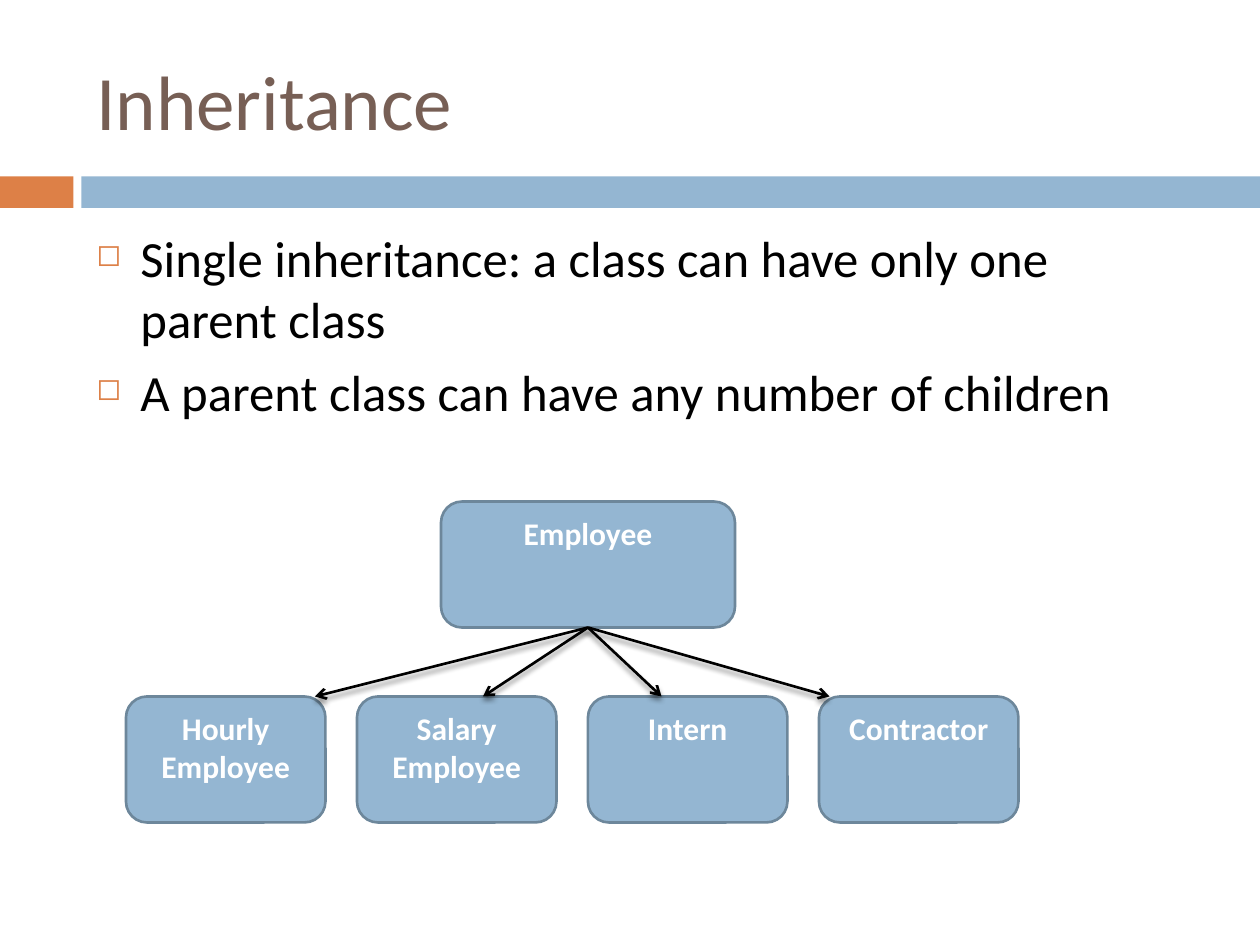
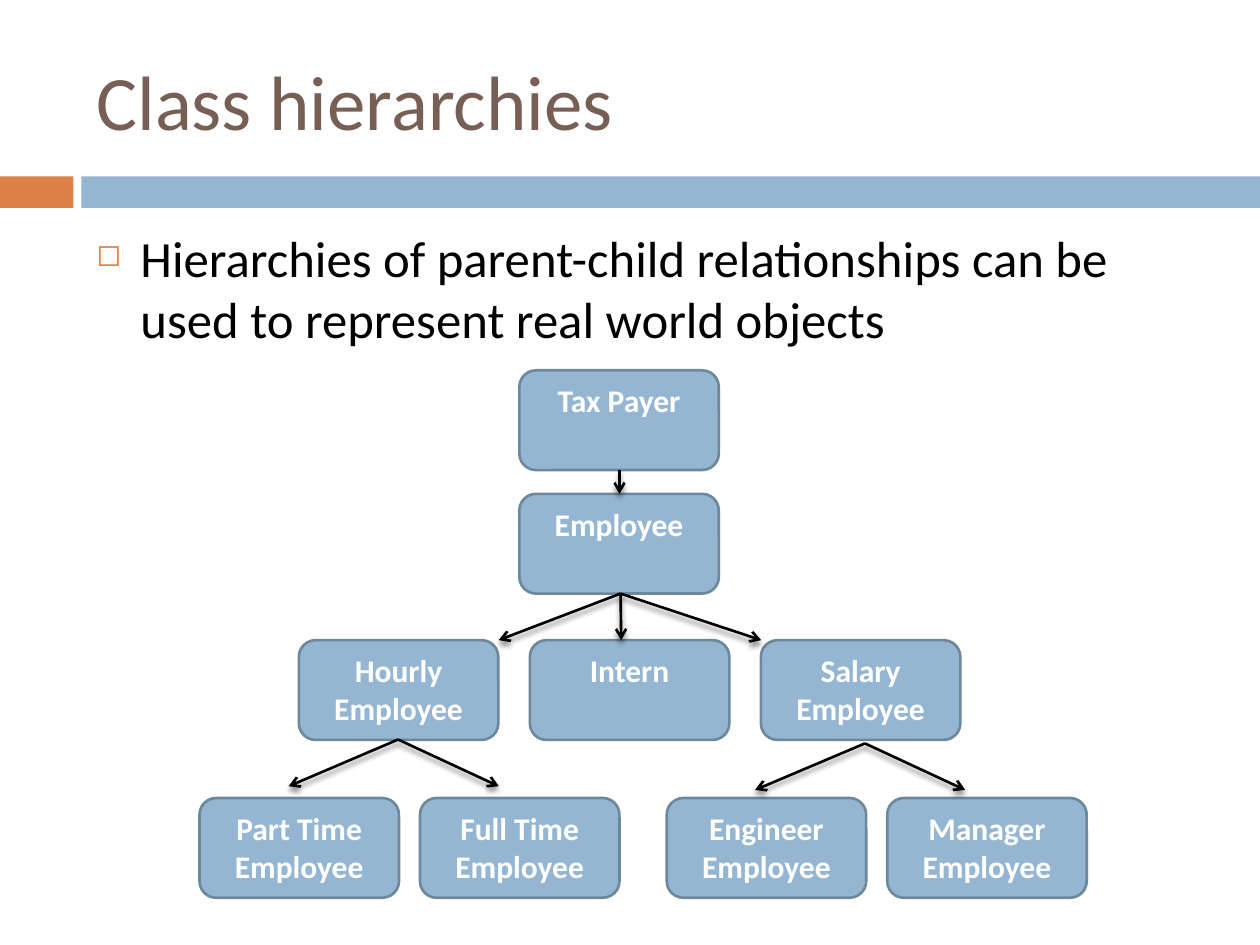
from dataclasses import dataclass

import lxml.etree
import pptx
import pptx.dml.color
import pptx.enum.shapes
import pptx.enum.text
import pptx.oxml.ns
import pptx.util

Pt = pptx.util.Pt
RGBColor = pptx.dml.color.RGBColor
Anchor = pptx.enum.text.MSO_ANCHOR
Align = pptx.enum.text.PP_ALIGN
Preset = pptx.enum.shapes.MSO_SHAPE

# Shared style
FONT = "Calibri"
ORANGE = RGBColor(0xDD, 0x80, 0x47)
BLUE = RGBColor(0x94, 0xB6, 0xD2)
BLUE_EDGE = RGBColor(0x6D, 0x87, 0x9B)
BROWN = RGBColor(0x77, 0x5F, 0x55)
BLACK = RGBColor(0, 0, 0)
WHITE = RGBColor(0xFF, 0xFF, 0xFF)
SLIDE_WIDTH, SLIDE_HEIGHT = 720, 540
MARGIN_LEFT = 48
CLASS_WIDTH = 114
SIBLING_STEP = 132


@dataclass(frozen=True)
class Box:
    left: float
    top: float
    width: float
    height: float

    def lengths(self) -> list:
        return [Pt(value) for value in (self.left, self.top, self.width, self.height)]


@dataclass(frozen=True)
class ClassBox:
    name: str
    box: Box


@dataclass(frozen=True)
class Arrow:
    start: tuple[float, float]
    tip: tuple[float, float]


def add_xml(parent, tag: str, **attributes):
    """Append a child element such as a:buChar."""
    return lxml.etree.SubElement(parent, pptx.oxml.ns.qn(tag), attributes)


def add_bullet(paragraph) -> None:
    properties = paragraph._p.get_or_add_pPr()
    properties.set("marL", str(Pt(25.2)))
    properties.set("indent", str(Pt(-25.2)))
    add_xml(add_xml(properties, "a:buClr"), "a:srgbClr", val=str(ORANGE))
    add_xml(properties, "a:buSzPct", val="60000")
    add_xml(properties, "a:buChar", char="◻")


def write_text(shape, *texts: str, size: float, color: RGBColor, bold: bool = False,
               align=Align.LEFT, anchor=Anchor.TOP, bullets: bool = False,
               gap: float = 0) -> None:
    """Write one paragraph per text, all in the same format."""
    frame = shape.text_frame
    frame.word_wrap = True
    frame.vertical_anchor = anchor
    for index, text in enumerate(texts):
        paragraph = frame.add_paragraph() if index else frame.paragraphs[0]
        if bullets:
            add_bullet(paragraph)
        if index:
            paragraph.space_before = Pt(gap)
        paragraph.alignment = align
        run = paragraph.add_run()
        run.text = text
        run.font.name = FONT
        run.font.size = Pt(size)
        run.font.bold = bold
        run.font.color.rgb = color


def add_filled_shape(slide, preset, box: Box, fill: RGBColor):
    shape = slide.shapes.add_shape(preset, *box.lengths())
    shape.shadow.inherit = False
    shape.fill.solid()
    shape.fill.fore_color.rgb = fill
    shape.line.fill.background()
    return shape


def add_class(slide, item: ClassBox) -> None:
    shape = add_filled_shape(slide, Preset.ROUNDED_RECTANGLE, item.box, BLUE)
    shape.line.color.rgb = BLUE_EDGE
    shape.line.width = Pt(1.5)
    write_text(shape, item.name, size=18, color=WHITE, bold=True, align=Align.CENTER)


def add_arrow(slide, arrow: Arrow) -> None:
    connector = slide.shapes.add_connector(
        pptx.enum.shapes.MSO_CONNECTOR.STRAIGHT,
        *[Pt(value) for value in (*arrow.start, *arrow.tip)])
    connector.line.color.rgb = BLACK
    connector.line.width = Pt(1.5)
    add_xml(connector.line._get_or_add_ln(), "a:tailEnd", type="arrow")
    # Soft shadow straight below the line
    effects = add_xml(connector._element.spPr, "a:effectLst")
    shadow = add_xml(effects, "a:outerShdw", blurRad=str(Pt(3)), dist=str(Pt(2.4)),
                     dir="5400000", rotWithShape="0")
    add_xml(add_xml(shadow, "a:srgbClr", val=str(BLACK)), "a:alpha", val="45000")


def row_of(names: list[str], left: float, top: float, height: float,
           step: float = SIBLING_STEP) -> list[ClassBox]:
    """Place classes side by side at equal steps."""
    return [ClassBox(name, Box(left + index * step, top, CLASS_WIDTH, height))
            for index, name in enumerate(names)]


def fan(start: tuple[float, float], tip_top: float, *tip_lefts: float) -> list[Arrow]:
    """Arrows from one parent point to several points on one level."""
    return [Arrow(start, (left, tip_top)) for left in tip_lefts]


def add_slide(presentation, title: str, bullets: list[str], body_width: float,
              classes: list[ClassBox], arrows: list[Arrow]) -> None:
    slide = presentation.slides.add_slide(presentation.slide_layouts[6])
    # Band under the title
    add_filled_shape(slide, Preset.RECTANGLE, Box(0, 100.8, 42, 18), ORANGE)
    add_filled_shape(slide, Preset.RECTANGLE, Box(46.5, 100.8, SLIDE_WIDTH - 46.5, 18), BLUE)
    # Title and bullets
    title_box = slide.shapes.add_textbox(*Box(MARGIN_LEFT, 18, 642, 78).lengths())
    write_text(title_box, title, size=44, color=BROWN, anchor=Anchor.MIDDLE)
    body_box = slide.shapes.add_textbox(*Box(MARGIN_LEFT, 126, body_width, 354).lengths())
    write_text(body_box, *bullets, size=29, color=BLACK, bullets=True, gap=7)
    # Class diagram
    for item in classes:
        add_class(slide, item)
    for arrow in arrows:
        add_arrow(slide, arrow)


def add_inheritance(presentation) -> None:
    parent = ClassBox("Employee", Box(252, 286.6, 168, 72))
    children = row_of(["Hourly Employee", "Salary Employee", "Intern", "Contractor"],
                      72, 398, 72)
    add_slide(presentation, "Inheritance",
              ["Single inheritance: a class can have only one parent class",
               "A parent class can have any number of children"],
              612, [parent, *children],
              fan((336, 358.6), 398, 180, 276, 378, 474))


def add_class_hierarchies(presentation) -> None:
    height = 57
    classes = [
        *row_of(["Tax Payer"], 296.8, 211.6, height),
        *row_of(["Employee"], 296.8, 282.2, height),
        *row_of(["Hourly Employee", "Intern", "Salary Employee"], 170.8, 365.8, height),
        *row_of(["Part Time Employee", "Full Time Employee"], 114, 456, height, step=126),
        *row_of(["Engineer Employee", "Manager Employee"], 381, 456, height, step=126),
    ]
    arrows = [
        *fan((354, 268.6), 282.2, 354),
        *fan((354.6, 339.2), 365.8, 285, 355, 435),
        *fan((227.5, 422.6), 449.3, 165, 285),
        *fan((494.3, 424.8), 451.4, 431.5, 551.5),
    ]
    add_slide(presentation, "Class hierarchies",
              ["Hierarchies of parent-child relationships can be used to represent "
               "real world objects"],
              642, classes, arrows)


def main() -> None:
    presentation = pptx.Presentation()
    presentation.slide_width = Pt(SLIDE_WIDTH)
    presentation.slide_height = Pt(SLIDE_HEIGHT)
    add_inheritance(presentation)
    add_class_hierarchies(presentation)
    presentation.save("out.pptx")


if __name__ == "__main__":
    main()
